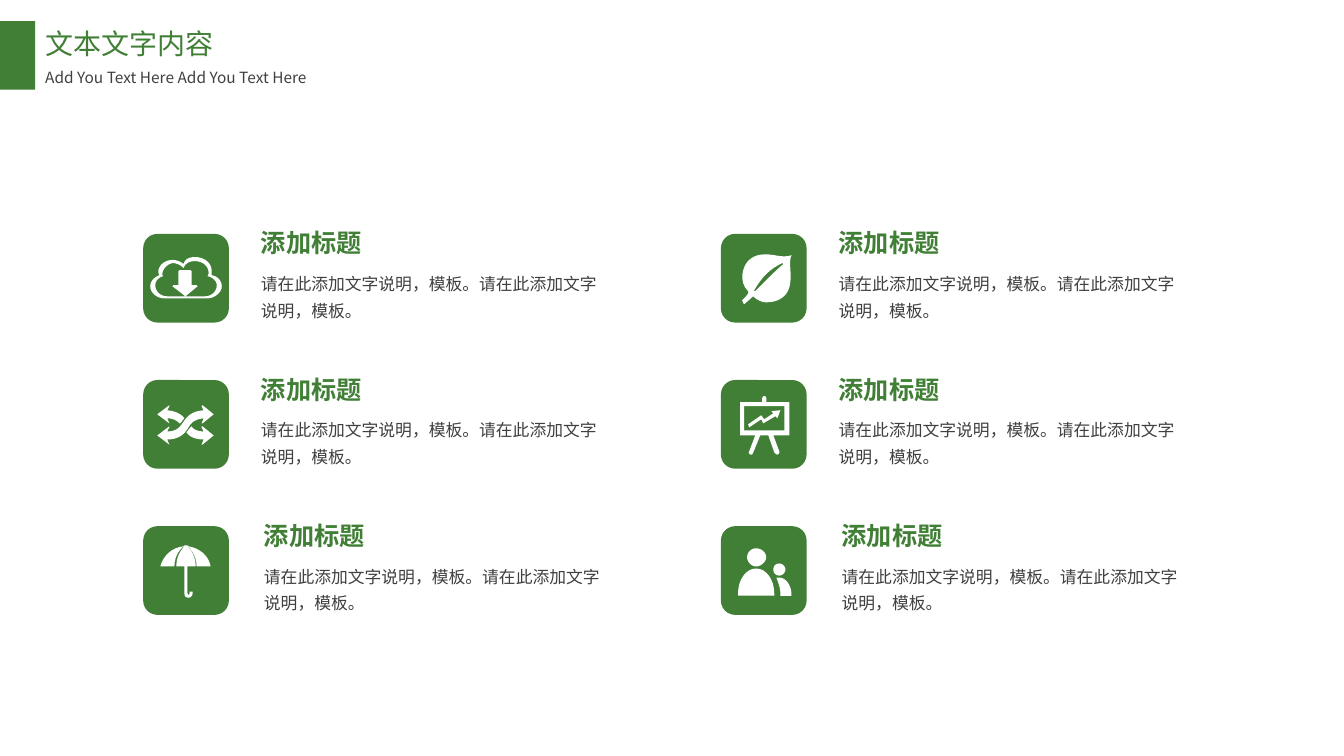
import pptx
import pptx.util
import pptx.dml.color
import pptx.enum.shapes
import pptx.enum.text
import pptx.oxml.ns
import lxml.etree

GREEN, GREY, WHITE = "407F35", "404040", "FFFFFF"
FONT = "Noto Sans CJK SC"
SHAPES = pptx.enum.shapes.MSO_SHAPE
inches = pptx.util.Inches

# Grid of items: corner of the first tile, and the step to the next one
GRID_LEFT, GRID_TOP = 1.42, 2.32
COLUMN, ROW = 5.73, 1.45
TILE_WIDTH, TILE_HEIGHT = 0.85, 0.88

# Icon outlines in hundredths of an inch from the corner of the tile.
# M starts a contour, L draws a line, C a cubic curve, Z closes.
CLOUD = """M 68 41 C 68 39 68 38 68 37 C 68 29 61 23 51 23 C 41 23 40 30 40 30
C 40 30 35 25 27 26 C 20 27 15 32 15 38 C 15 39 16 40 16 41 C 11 43 7 47 7 52
C 7 58 13 64 21 64 L 64 64 C 71 64 78 58 78 52 C 78 47 74 42 68 41 Z
M 61 62 L 24 62 C 17 62 12 57 12 51 C 12 47 15 43 20 42 C 19 41 19 41 19 40
C 19 35 24 30 29 29 C 36 29 40 34 40 34 C 40 34 42 27 51 27 C 59 27 65 32 65 39
C 65 40 64 41 64 42 C 69 43 73 47 73 51 C 73 57 68 62 61 62 Z
M 36 36 L 47 36 L 48 37 L 48 51 L 53 51 L 54 52 L 42 62 L 29 52 L 30 51
L 35 51 L 35 37 Z"""
LEAF = """M 70 21 C 70 21 66 24 52 21 C 38 19 32 22 27 27 C 22 32 17 47 27 57
C 29 59 21 66 21 66 L 23 70 L 32 62 C 32 62 38 68 45 68 C 56 68 68 63 69 47
C 70 36 67 29 70 21 Z M 62 30 C 62 30 57 34 49 42 C 42 49 34 57 34 57 L 33 57
L 33 56 C 33 56 40 44 46 39 C 52 33 61 29 61 29 Z"""
SHUFFLE = """M 70 55 L 59 64 L 58 64 L 60 59 C 51 59 46 56 43 52
C 44 51 45 49 46 48 C 47 47 47 47 48 46 C 50 49 54 51 60 51 L 58 47 L 58 46
L 59 46 Z M 26 43 L 24 38 C 31 38 34 41 36 43 C 37 43 37 42 38 42
C 39 40 40 39 41 38 C 38 34 33 31 24 30 L 26 26 L 26 25 L 14 34 Z
M 45 47 C 48 42 51 39 60 38 L 58 43 L 59 43 L 70 34 L 59 25 L 58 26 L 60 30
C 47 31 43 37 39 43 C 36 47 33 51 24 51 L 26 47 L 26 46 L 14 55 L 26 64 L 24 59
C 37 59 42 52 45 47 Z"""
BOARD = """M 68 22 L 45 22 L 45 18 C 45 17 44 16 43 16 C 42 16 41 17 41 18
L 41 22 L 19 22 L 19 55 L 34 55 L 28 71 C 27 72 28 73 29 74 L 30 74
C 31 74 32 73 32 72 L 39 55 L 47 55 L 53 72 C 54 73 55 74 56 74
C 58 73 58 72 58 71 L 52 55 L 68 55 Z M 63 50 L 23 50 L 23 26 L 63 26 Z"""
TREND = """M 28 47 L 40 39 L 42 43 L 54 36 L 56 38 L 59 30 L 50 31 L 52 33
L 43 39 L 40 35 L 27 44 Z"""
UMBRELLA = """M 53 40 L 67 40 C 65 29 56 22 45 20 C 44 19 44 19 42 19
C 41 19 41 19 40 20 C 29 21 20 29 17 40 L 31 40 C 31 28 38 22 40 20 L 40 21
C 32 30 33 40 33 40 L 41 40 L 41 67 C 41 69 42 71 45 71 C 47 71 49 69 49 67
L 49 65 L 46 65 L 46 66 C 46 67 46 68 45 68 C 44 68 44 67 44 66 L 44 40 L 52 40
C 52 40 53 30 45 21 L 45 20 C 46 22 53 28 53 40 Z"""
ADULT = """M 35 42 C 25 42 17 53 17 67 L 17 69 L 53 69 L 53 67
C 53 53 45 42 35 42 Z M 35 40 C 40 40 45 35 45 31 C 45 26 40 22 35 22
C 30 22 26 26 26 31 C 26 35 30 40 35 40 Z"""
CHILD = """M 58 51 L 55 51 C 57 56 59 61 59 67 L 59 69 L 70 69 L 70 68
C 70 58 64 51 58 51 Z M 64 43 C 64 40 61 37 58 37 C 54 37 52 40 52 43
C 52 46 54 49 58 49 C 61 49 64 46 64 43 Z"""


def color(value):
    return pptx.dml.color.RGBColor.from_string(value)


def curve(points, steps=8):
    """Points along a cubic curve, without its start."""
    for step in range(1, steps + 1):
        t = step / steps
        weights = ((1 - t) ** 3, 3 * t * (1 - t) ** 2, 3 * t * t * (1 - t), t ** 3)
        yield tuple(sum(w * p[axis] for w, p in zip(weights, points)) for axis in (0, 1))


def contours(outline):
    """Point lists of an outline, one for each contour."""
    for contour in outline.split("M")[1:]:
        points = []
        for segment in contour.replace("Z", "").replace("L", "|").replace("C", "|").split("|"):
            numbers = [int(number) * 9144 for number in segment.split()]
            pairs = list(zip(numbers[::2], numbers[1::2]))
            points += curve([points[-1]] + pairs) if len(pairs) == 3 else pairs
        yield points


class Painter:
    def __init__(self, presentation):
        self.slide = presentation.slides.add_slide(presentation.slide_layouts[5])
        self.shapes = self.slide.shapes

    def paint(self, shape, fill):
        shape.shadow.inherit = False
        shape.fill.solid()
        shape.fill.fore_color.rgb = color(fill)
        shape.line.fill.background()

    def box(self, kind, left, top, width, height):
        shape = self.shapes.add_shape(kind, *map(inches, (left, top, width, height)))
        self.paint(shape, GREEN)

    def icon(self, outline, left, top):
        first, *others = contours(outline)
        builder = self.shapes.build_freeform(*first[0], scale=1.0)
        builder.add_line_segments(first[1:], close=True)
        for points in others:
            builder.move_to(*points[0])
            builder.add_line_segments(points[1:], close=True)
        self.paint(builder.convert_to_shape(inches(left), inches(top)), WHITE)

    def set_text(self, shape, text, size, ink, bold=False, spacing=1.0, wrap=True):
        frame = shape.text_frame
        frame.auto_size = pptx.enum.text.MSO_AUTO_SIZE.NONE
        frame.vertical_anchor = pptx.enum.text.MSO_ANCHOR.TOP
        frame.word_wrap = wrap
        frame.text = text
        paragraph = frame.paragraphs[0]
        paragraph.alignment = pptx.enum.text.PP_ALIGN.LEFT
        paragraph.line_spacing = spacing
        font = paragraph.font
        font.size, font.bold, font.name = pptx.util.Pt(size), bold, FONT
        font.color.rgb = color(ink)
        # East Asian typeface
        qn = pptx.oxml.ns.qn
        properties = paragraph._p.find(qn("a:pPr")).find(qn("a:defRPr"))
        lxml.etree.SubElement(properties, qn("a:ea")).set("typeface", FONT)

    def title(self, text, left, top, width, height):
        shape = self.shapes.title
        shape.left, shape.top, shape.width, shape.height = map(inches, (left, top, width, height))
        self.set_text(shape, text, 20, GREEN, wrap=False)

    def text(self, text, left, top, width, height, *style, **options):
        shape = self.shapes.add_textbox(*map(inches, (left, top, width, height)))
        self.set_text(shape, text, *style, **options)

    def item(self, column, row, outlines):
        left, top = GRID_LEFT + column * COLUMN, GRID_TOP + row * ROW
        self.box(SHAPES.ROUNDED_RECTANGLE, left, top, TILE_WIDTH, TILE_HEIGHT)
        for outline in outlines:
            self.icon(outline, left, top)
        # The last row of text stands slightly further right
        text_left = left + (1.1 if row == 2 else 1.07)
        self.text("添加标题", text_left, top - 0.11, 1.2, 0.4, 18, GREEN, bold=True, wrap=False)
        self.text("请在此添加文字说明，模板。请在此添加文字说明，模板。",
                  text_left, top + 0.29, 3.66, 0.63, 12, GREY, spacing=1.3)


presentation = pptx.Presentation()
presentation.slide_width, presentation.slide_height = inches(13.33), inches(7.5)
painter = Painter(presentation)

# Header
painter.title("文本文字内容", 0.35, 0.21, 1.88, 0.44)
painter.text("Add You Text Here Add You Text Here", 0.35, 0.57, 3.06, 0.34, 11, GREY, spacing=1.3)
painter.box(SHAPES.RECTANGLE, 0, 0.21, 0.35, 0.68)

# Items, column by column
columns = [[(CLOUD,), (SHUFFLE,), (UMBRELLA,)],
           [(LEAF,), (BOARD, TREND), (ADULT, CHILD)]]
for column, icons in enumerate(columns):
    for row, outlines in enumerate(icons):
        painter.item(column, row, outlines)

presentation.save("out.pptx")
